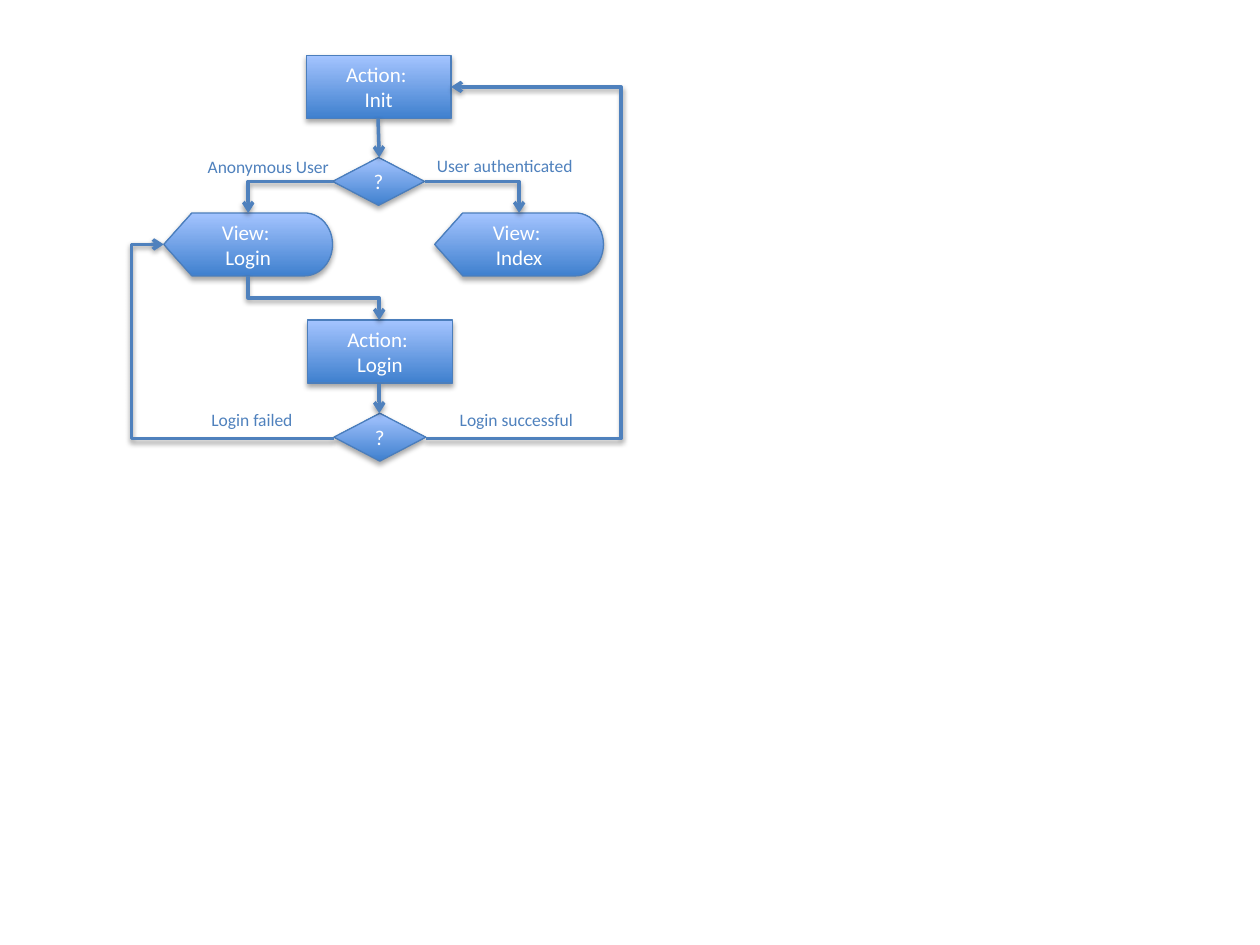
from dataclasses import dataclass

from lxml import etree
from pptx import Presentation, util as u
from pptx.dml.color import RGBColor
from pptx.enum import shapes, text
from pptx.oxml.ns import qn

COLORS = {
    "bottom": "3F80CE",
    "top": "A4C4FF",
    "border": "4B7EBC",
    "flow": "4F81BD",
    "text": "FFFFFF",
    "shadow": "000000",
}
FONT = "Calibri"
KIND = shapes.MSO_SHAPE
SIZES = {
    KIND.RECTANGLE: (1.15, 0.5),
    KIND.FLOWCHART_DISPLAY: (1.34, 0.5),
    KIND.FLOWCHART_DECISION: (0.73, 0.38),
}


@dataclass
class Node:
    kind: shapes.MSO_SHAPE
    left: float
    top: float
    text: str


@dataclass
class Flow:
    start: tuple[float, float]
    end: tuple[float, float]
    preset: str = "line"
    rotation: int = 0
    flip: str = ""
    bend: float | None = None


@dataclass
class Label:
    left: float
    top: float
    width: float
    text: str


NODES = [
    Node(KIND.RECTANGLE, 2.43, 0.44, "Action: \nInit"),
    Node(KIND.FLOWCHART_DISPLAY, 1.3, 1.69, "View: \nLogin"),
    Node(KIND.FLOWCHART_DISPLAY, 3.45, 1.69, "View: \nIndex"),
    Node(KIND.FLOWCHART_DECISION, 2.64, 1.25, "?"),
    Node(KIND.RECTANGLE, 2.44, 2.54, "Action: \nLogin"),
    Node(KIND.FLOWCHART_DECISION, 2.65, 3.28, "?"),
]
FLOWS = [
    Flow((3.01, 0.94), (3, 1.25)),
    Flow((2.64, 1.44), (1.97, 1.69), "bentConnector2", 180, "V"),
    Flow((3.37, 1.44), (4.12, 1.69), "bentConnector2"),
    Flow((1.97, 2.19), (3.01, 2.54), "bentConnector3", 270, "H", 0.5),
    Flow((2.65, 3.48), (1.3, 1.94), "bentConnector3", 180, "", 1.19),
    Flow((3.38, 3.48), (3.58, 0.69), "bentConnector3", 0, "V", 7.75),
    Flow((3.01, 3.05), (3.01, 3.28)),
]
LABELS = [
    Label(1.58, 3.2, 0.86, "Login failed"),
    Label(3.55, 3.2, 1.11, "Login successful"),
    Label(3.37, 1.18, 1.3, "User authenticated"),
    Label(1.55, 1.19, 1.18, "Anonymous User"),
]


def rgb(name: str) -> RGBColor:
    return RGBColor.from_string(COLORS[name])


def add_shadow(sp, alpha: int, distance: float) -> None:
    """Give the shape a soft shadow straight below it."""
    effects = sp._element.spPr.find(qn("a:effectLst"))
    if effects is None:
        effects = etree.SubElement(sp._element.spPr, qn("a:effectLst"))
    shadow = etree.SubElement(
        effects, qn("a:outerShdw"), blurRad=str(u.Pt(3.1)),
        dist=str(u.Pt(distance)), dir=str(90 * 60000), rotWithShape="0")
    color = etree.SubElement(shadow, qn("a:srgbClr"), val=COLORS["shadow"])
    etree.SubElement(color, qn("a:alpha"), val=str(alpha * 1000))


def format_text(tf, size: int, color: str, align=None) -> None:
    for p in tf.paragraphs:
        p.alignment = align
        for r in p.runs:
            r.font.name = FONT
            r.font.size = u.Pt(size)
            r.font.color.rgb = rgb(color)


def add_node(s, node: Node) -> None:
    width, height = SIZES[node.kind]
    sp = s.shapes.add_shape(node.kind, u.Inches(node.left), u.Inches(node.top),
                            u.Inches(width), u.Inches(height))
    sp.fill.gradient()
    sp.fill.gradient_angle = 90
    for stop, name in zip(sp.fill.gradient_stops, ("bottom", "top")):
        stop.color.rgb = rgb(name)
    sp.line.color.rgb = rgb("border")
    sp.line.width = u.Pt(0.75)
    sp.shadow.inherit = False
    add_shadow(sp, 35, 1.8)
    tf = sp.text_frame
    tf.text = node.text
    tf.vertical_anchor = text.MSO_ANCHOR.MIDDLE
    format_text(tf, 12, "text", text.PP_ALIGN.CENTER)


def add_flow(s, flow: Flow) -> None:
    """Draw an arrow; a quarter turn swaps its box about the centre."""
    (x1, y1), (x2, y2) = flow.start, flow.end
    width, height = abs(x2 - x1), abs(y2 - y1)
    if flow.rotation % 180:
        width, height = height, width
    left, top = (x1 + x2 - width) / 2, (y1 + y2 - height) / 2
    sp = s.shapes.add_connector(
        shapes.MSO_CONNECTOR.STRAIGHT, u.Inches(left), u.Inches(top),
        u.Inches(left + width), u.Inches(top + height))
    spPr = sp._element.spPr
    xfrm = spPr.find(qn("a:xfrm"))
    if flow.rotation:
        xfrm.set("rot", str(flow.rotation * 60000))
    if flow.flip:
        xfrm.set("flip" + flow.flip, "1")
    geometry = spPr.find(qn("a:prstGeom"))
    geometry.set("prst", flow.preset)
    if flow.bend is not None:
        guides = geometry.find(qn("a:avLst"))
        if guides is None:
            guides = etree.SubElement(geometry, qn("a:avLst"))
        etree.SubElement(guides, qn("a:gd"), name="adj1",
                         fmla=f"val {round(flow.bend * 100000)}")
    sp.line.color.rgb = rgb("flow")
    sp.line.width = u.Pt(2)
    etree.SubElement(spPr.find(qn("a:ln")), qn("a:tailEnd"), type="arrow")
    add_shadow(sp, 38, 1.6)


def add_label(s, label: Label) -> None:
    tb = s.shapes.add_textbox(u.Inches(label.left), u.Inches(label.top),
                              u.Inches(label.width), u.Inches(0.27))
    tf = tb.text_frame
    tf.text = label.text
    tf.word_wrap = False
    tf.auto_size = text.MSO_AUTO_SIZE.SHAPE_TO_FIT_TEXT
    format_text(tf, 10, "flow")


def main() -> None:
    prs = Presentation()
    prs.slide_width, prs.slide_height = u.Inches(10), u.Inches(7.5)
    s = prs.slides.add_slide(prs.slide_layouts[6])
    for node in NODES:
        add_node(s, node)
    for flow in FLOWS:
        add_flow(s, flow)
    for label in LABELS:
        add_label(s, label)
    prs.save("out.pptx")


if __name__ == "__main__":
    main()
